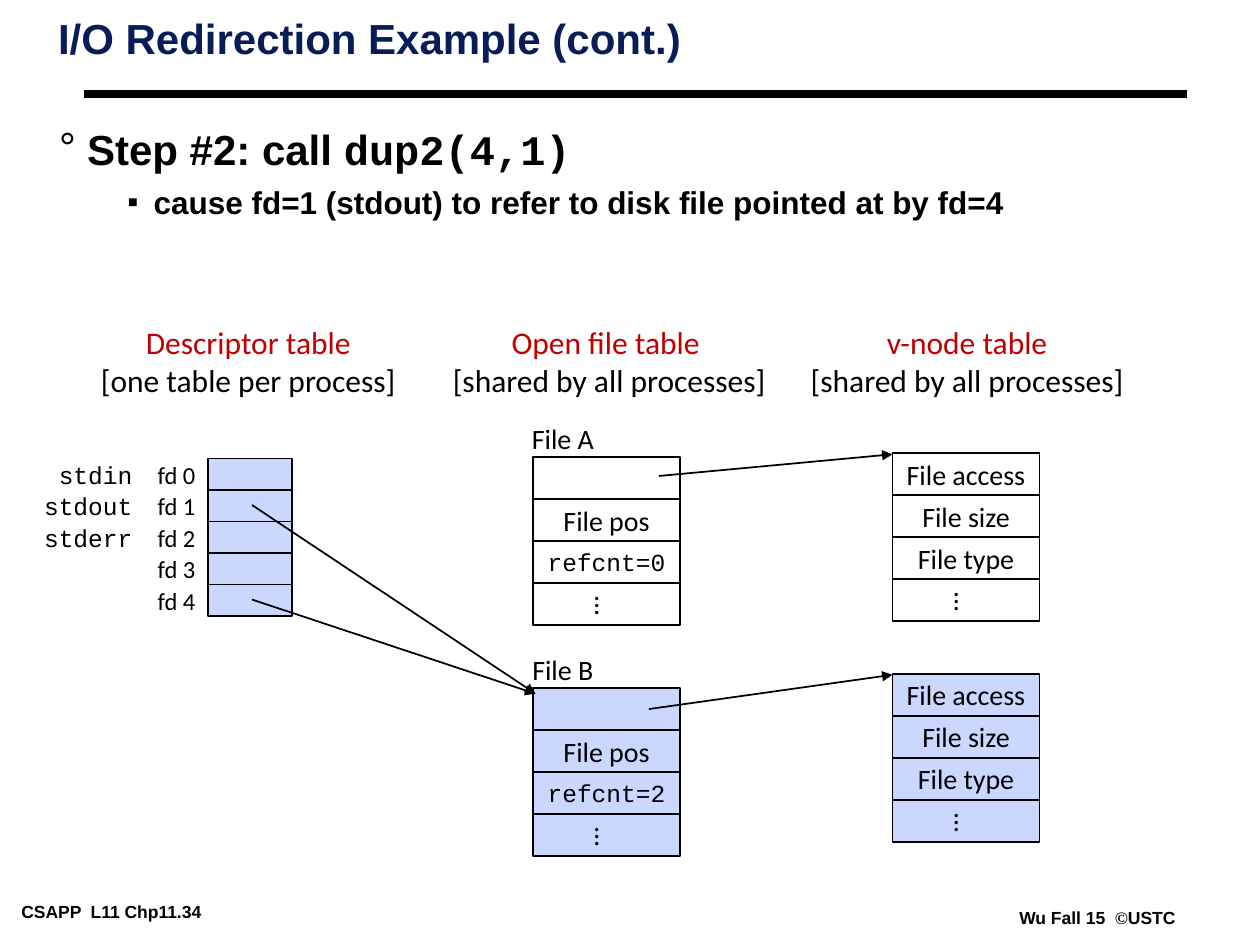
from dataclasses import dataclass

from lxml import etree
from pptx import Presentation
from pptx.dml.color import RGBColor
from pptx.enum.shapes import MSO_CONNECTOR, MSO_SHAPE
from pptx.enum.text import MSO_ANCHOR, PP_ALIGN
from pptx.oxml.ns import qn
from pptx.util import Pt

RECTANGLE = MSO_SHAPE.RECTANGLE
STRAIGHT = MSO_CONNECTOR.STRAIGHT
TOP, MIDDLE = MSO_ANCHOR.TOP, MSO_ANCHOR.MIDDLE
LEFT, CENTER, RIGHT = PP_ALIGN.LEFT, PP_ALIGN.CENTER, PP_ALIGN.RIGHT


@dataclass(frozen=True)
class Theme:
    ink: str = "000000"
    title: str = "081D58"
    heading: str = "C00000"
    shared: str = "CAD7FE"
    plain: str = "FFFFFF"
    bold_face: str = "Arial"
    label_face: str = "Calibri"
    code_face: str = "Courier New"
    symbol_face: str = "Times New Roman"
    large: float = 24
    medium: float = 18
    label: float = 16
    small: float = 14
    footer: float = 10
    thin: float = 1
    thick: float = 4.5


@dataclass(frozen=True)
class Box:
    left: float
    top: float
    width: float
    height: float

    def row(self, index, count):
        height = self.height / count
        return Box(self.left, self.top + index * height, self.width, height)

    def lengths(self):
        return Pt(self.left), Pt(self.top), Pt(self.width), Pt(self.height)


THEME = Theme()


def write(para, text, *, size=THEME.label, font=THEME.label_face,
          color=THEME.ink, bold=False, align=LEFT):
    para.alignment = align
    span = para.add_run()
    span.text = text
    span.font.size = Pt(size)
    span.font.name = font
    span.font.bold = bold
    span.font.color.rgb = RGBColor.from_string(color)


def set_frame(frame, *, anchor=MIDDLE, wrap=False, side=7.2, edge=3.6):
    frame.word_wrap = wrap
    frame.vertical_anchor = anchor
    frame.margin_left = frame.margin_right = Pt(side)
    frame.margin_top = frame.margin_bottom = Pt(edge)


def add_label(page, box, **options):
    frame = page.shapes.add_textbox(*box.lengths()).text_frame
    set_frame(frame, **options)
    return frame


def add_cell(page, box, fill):
    cell = page.shapes.add_shape(RECTANGLE, *box.lengths())
    cell.shadow.inherit = False
    cell.fill.solid()
    cell.fill.fore_color.rgb = RGBColor.from_string(fill)
    cell.line.color.rgb = RGBColor.from_string(THEME.ink)
    cell.line.width = Pt(THEME.thin)
    return cell


def add_line(page, start, end, *, weight=THEME.thin, arrow=True):
    line = page.shapes.add_connector(STRAIGHT, *map(Pt, start + end))
    line.line.color.rgb = RGBColor.from_string(THEME.ink)
    line.line.width = Pt(weight)
    if arrow:
        etree.SubElement(line.line._get_or_add_ln(), qn("a:tailEnd"), type="triangle")
    etree.SubElement(line.element.spPr, qn("a:effectLst"))


def add_bullet(para, mark, margin, indent):
    properties = para._p.get_or_add_pPr()
    properties.set("marL", str(Pt(margin)))
    properties.set("indent", str(Pt(-indent)))
    color = etree.SubElement(properties, qn("a:buClr"))
    etree.SubElement(color, qn("a:srgbClr"), val=THEME.ink)
    etree.SubElement(properties, qn("a:buFont"), typeface=THEME.bold_face)
    etree.SubElement(properties, qn("a:buChar"), char=mark)


def add_title(page, box):
    frame = add_label(page, box, anchor=TOP, wrap=True, side=5, edge=2)
    para = frame.paragraphs[0]
    para.line_spacing = 0.87
    write(para, "I/O Redirection Example (cont.)", size=THEME.large,
          font=THEME.bold_face, color=THEME.title, bold=True)
    rule = box.top + 44.6
    add_line(page, (box.left + 20, rule), (box.left + 650, rule),
             weight=THEME.thick, arrow=False)


def add_body(page, box):
    frame = add_label(page, box, anchor=TOP, wrap=True, side=5, edge=2)
    step = frame.paragraphs[0]
    add_bullet(step, "°", 16, 16)
    step.line_spacing = 0.75
    write(step, "Step #2: call ", size=THEME.large, font=THEME.bold_face, bold=True)
    write(step, "dup2(4,1)", size=THEME.large, font=THEME.code_face, bold=True)
    effect = frame.add_paragraph()
    effect.level = 1
    add_bullet(effect, "▪", 54, 15)
    effect.line_spacing = 0.85
    effect.space_before = Pt(9)
    write(effect, "cause fd=1 (stdout) to refer to disk file pointed at by fd=4",
          size=THEME.medium, font=THEME.bold_face, bold=True)


def add_heading(page, box, name, scope):
    frame = add_label(page, box)
    write(frame.paragraphs[0], name, size=THEME.medium, color=THEME.heading, align=CENTER)
    write(frame.add_paragraph(), scope, size=THEME.medium, align=CENTER)


def add_descriptors(page, box, streams, count):
    for index in range(count):
        row = box.row(index, count)
        add_cell(page, row, THEME.shared)
        number = Box(row.left - 48, row.top, 48, row.height)
        write(add_label(page, number).paragraphs[0], f"fd {index}",
              size=THEME.small, align=RIGHT)
        if index < len(streams):
            stream = Box(row.left - 102.8, row.top, 66.8, row.height)
            write(add_label(page, stream).paragraphs[0], streams[index],
                  size=THEME.small, font=THEME.code_face, align=RIGHT)


def add_record(page, box, fields, fill):
    for index, field in enumerate(fields):
        cell = add_cell(page, box.row(index, len(fields)), fill)
        if not field:
            continue
        frame = cell.text_frame
        if field == "...":
            set_frame(frame, side=3.6, edge=7.2)
            cell.element.txBody.bodyPr.set("vert", "eaVert")
        else:
            set_frame(frame)
        is_code = field.startswith("refcnt")
        write(frame.paragraphs[0], field, align=CENTER,
              size=THEME.small if is_code else THEME.label,
              font=THEME.code_face if is_code else THEME.label_face)


def add_open_file(page, box, name, count, fill):
    label = Box(box.left - 10, box.top - 24, 54, 26.6)
    write(add_label(page, label).paragraphs[0], name, align=CENTER)
    add_record(page, box, ("", "File pos", f"refcnt={count}", "..."), fill)


def add_footer(page, box, spans):
    para = add_label(page, box, anchor=TOP, side=5, edge=2).paragraphs[0]
    for text, font in spans:
        write(para, text, size=THEME.footer, font=font, bold=True)


def main():
    deck = Presentation()
    deck.slide_width, deck.slide_height = Pt(720), Pt(540)
    page = deck.slides.add_slide(deck.slide_layouts[6])
    add_footer(page, Box(7.2, 513, 151, 16), [("CSAPP  L11 Chp11.34", THEME.bold_face)])
    add_footer(page, Box(577.5, 516.4, 99.4, 16), [
        ("Wu Fall 15  ", THEME.bold_face), ("©", THEME.symbol_face),
        ("USTC", THEME.bold_face)])
    add_title(page, Box(28.2, 9.2, 597.6, 59.8))
    add_body(page, Box(28.8, 75.2, 679, 77.8))
    for left, width, name, scope in (
            (50.4, 183, "Descriptor table", "[one table per process]"),
            (251.3, 193.7, "Open file table ", "[shared by all processes]"),
            (455.8, 193.7, "v-node table", "[shared by all processes]")):
        add_heading(page, Box(left, 181, width, 50.4), name, scope)

    descriptors = Box(118.8, 262, 48, 90)
    add_descriptors(page, descriptors, ("stdin", "stdout", "stderr"), 5)
    for name, count, fill, file_top, node_top, start in (
            ("File A", 0, THEME.plain, 261.2, 259, (376.6, 272)),
            ("File B", 2, THEME.shared, 393.2, 385, (370.8, 405.2))):
        add_open_file(page, Box(304.6, file_top, 84, 96), name, count, fill)
        add_record(page, Box(510, node_top, 84, 96),
                   ("File access", "File size", "File type", "..."), fill)
        add_line(page, start, (510, node_top + 0.6))
    for index in (1, 4):
        row = descriptors.row(index, 5)
        add_line(page, (row.left + 25.2, row.top + 8.6), (306, 396.4))
    deck.save("out.pptx")


if __name__ == "__main__":
    main()
